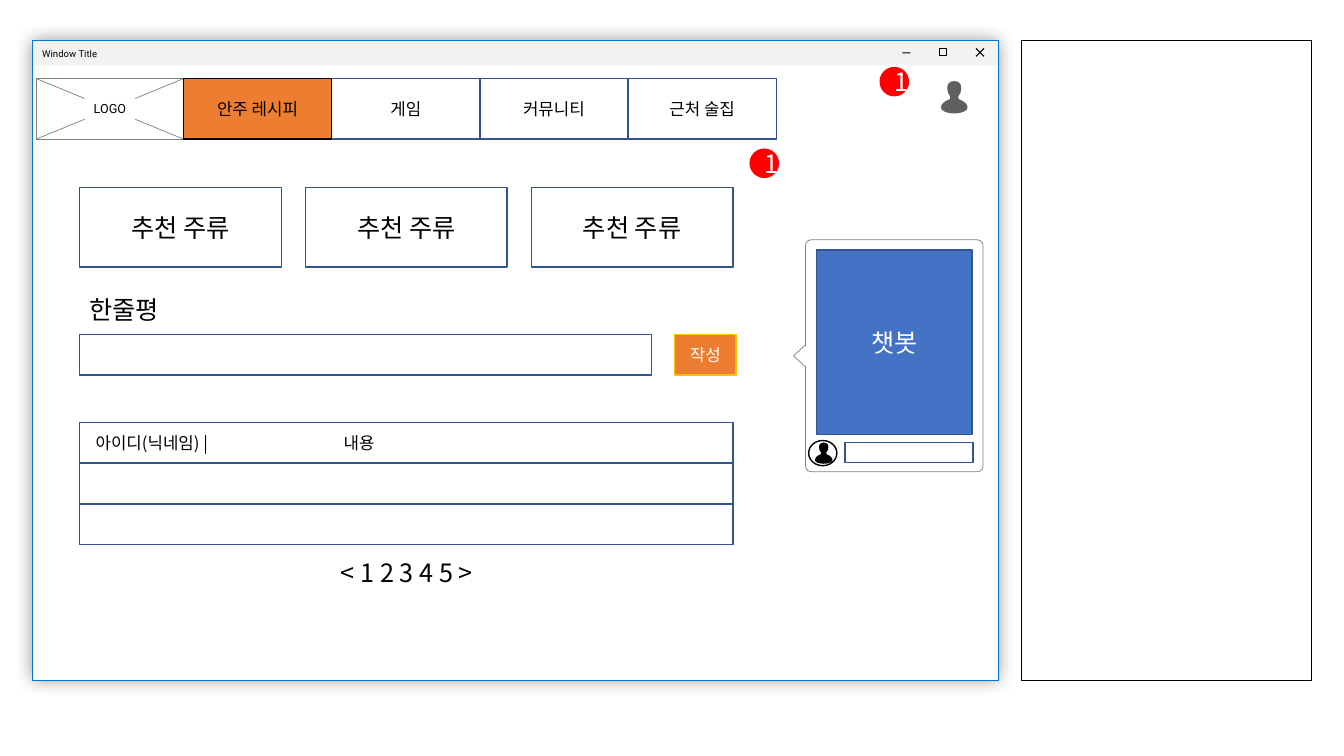
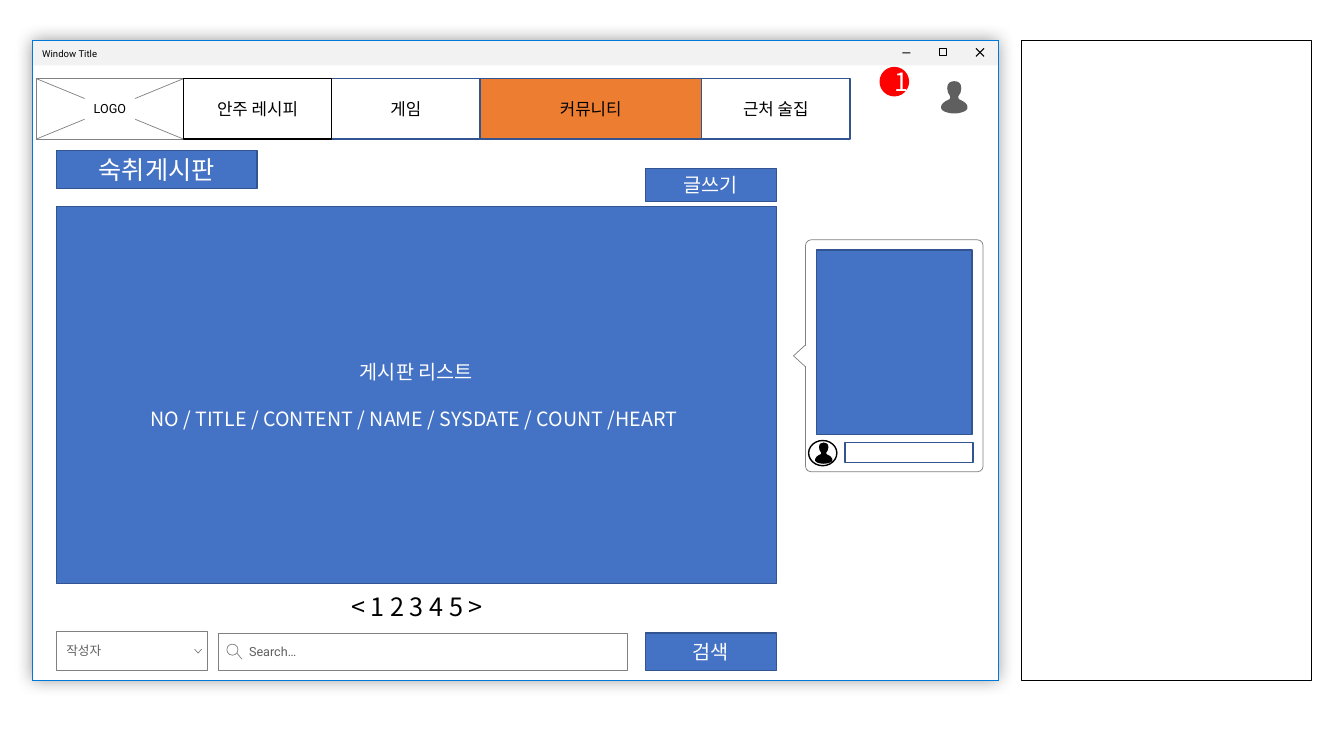
"""Builds two wireframe slides of a drinks web site."""
from itertools import accumulate
from lxml import etree
from pptx import Presentation
from pptx.dml.color import RGBColor
from pptx.enum.shapes import MSO_CONNECTOR, MSO_SHAPE
from pptx.enum.text import MSO_ANCHOR, PP_ALIGN
from pptx.oxml.ns import qn
from pptx.util import Inches, Pt

RECT, ROUND = MSO_SHAPE.RECTANGLE, MSO_SHAPE.ROUNDED_RECTANGLE
OVAL, WEDGE = MSO_SHAPE.OVAL, MSO_SHAPE.ISOSCELES_TRIANGLE
LINE = MSO_CONNECTOR.STRAIGHT
LEFT, MID = PP_ALIGN.LEFT, PP_ALIGN.CENTER
CENTER, TOP = MSO_ANCHOR.MIDDLE, MSO_ANCHOR.TOP

KR, UI = "Noto Sans CJK KR", "Roboto"
WHITE, BLACK, RED = "FFFFFF", "000000", "FF0000"
BLUE, NAVY, ORANGE, GOLD = "4472C4", "325491", "ED7D31", "FFC000"
GREY, DARK, PALE, AZURE = "808080", "5F5F5F", "F2F2F2", "0078D7"

WIN = (0.32, 0.4, 9.58, 6.35)
NOTE = (10.13, 0.4, 2.88, 6.35)
LOGO = (0.36, 0.78, 1.46, 0.6)
TABS = ["안주 레시피", "게임", "커뮤니티", "근처 술집"]
TAB = 1.47
PAGES = "< 1 2 3 4 5 >"
CARDS = ["추천 주류"] * 3
HEADS = ("아이디(닉네임) |", "내용")
BOARD = ["게시판 리스트", "NO / TITLE / CONTENT / NAME / SYSDATE / COUNT /HEART "]
HALF = [
    [(-.04, 0), (-.07, .02), (-.07, .07)],
    [(-.07, .10), (-.06, .13), (-.04, .15)],
    [(-.04, .17)],
    [(-.04, .18), (-.04, .18), (-.05, .18)],
    [(-.10, .20), (-.13, .23), (-.13, .25)],
    [(-.13, .27)],
    [(-.13, .29), (-.08, .32), (0, .32)],
]


def rgb(code):
    """Turns a hex string into a colour."""
    return RGBColor.from_string(code)


def paint(shape, fill, line, width):
    """Sets fill and outline; None means no paint."""
    shape.shadow.inherit = False
    if fill:
        shape.fill.solid()
        shape.fill.fore_color.rgb = rgb(fill)
    else:
        shape.fill.background()
    if line:
        shape.line.color.rgb = rgb(line)
        shape.line.width = Pt(width)
    else:
        shape.line.fill.background()


def write(shape, text, size, color=BLACK, face=KR, align=MID, anchor=CENTER,
          pad=None, wrap=True, gap=0):
    """Fills a shape with one or more paragraphs."""
    frame = shape.text_frame
    frame.word_wrap, frame.vertical_anchor = wrap, anchor
    if pad:
        (frame.margin_left, frame.margin_top, frame.margin_right,
         frame.margin_bottom) = map(Inches, pad)
    frame.text = text
    for para in frame.paragraphs:
        para.alignment = align
        font = para.font
        font.size, font.name, font.color.rgb = Pt(size), face, rgb(color)
        node = para._p.pPr.find(qn("a:defRPr"))
        etree.SubElement(node, qn("a:ea")).set("typeface", KR)
    if gap:
        frame.paragraphs[0].space_after = Pt(gap)


def box(slide, at, fill=WHITE, line=NAVY, width=1, kind=RECT):
    """Adds a painted preset shape."""
    shape = slide.shapes.add_shape(kind, *map(Inches, at))
    paint(shape, fill, line, width)
    return shape


def label(slide, at, text, size):
    """Adds plain text at the left top."""
    shape = slide.shapes.add_textbox(*map(Inches, at))
    write(shape, text, size, align=LEFT, anchor=TOP)
    return shape


def rule(slide, x1, y1, x2, y2, color=GREY, width=0.5):
    """Adds a straight line."""
    line = slide.shapes.add_connector(LINE, *map(Inches, (x1, y1, x2, y2)))
    line.line.color.rgb, line.line.width = rgb(color), Pt(width)
    etree.SubElement(line._element.spPr, qn("a:effectLst"))


def trace(slide, strokes, color=GREY, width=0.5):
    """Draws open strokes as one outline."""
    pen = None
    for stroke in strokes:
        dots = [(Inches(x), Inches(y)) for x, y in stroke]
        if pen:
            pen.move_to(*dots[0])
        else:
            pen = slide.shapes.build_freeform(*dots[0])
        pen.add_line_segments(dots[1:], close=False)
    paint(pen.convert_to_shape(), None, color, width)


def glow(shape):
    """Gives a shape a soft shadow on all sides."""
    spot = shape._element.spPr.find(qn("a:effectLst"))
    shade = etree.SubElement(spot, qn("a:outerShdw"), blurRad=str(Pt(12)))
    tint = etree.SubElement(shade, qn("a:srgbClr"), val=BLACK)
    etree.SubElement(tint, qn("a:alpha"), val="40000")


def person(slide, mid, top, scale, color):
    """Draws a bust of curves, mirrored about its middle."""
    side = [(0, 0)] + [knot for part in HALF for knot in part]
    ring = side + [(-x, y) for x, y in side[-2::-1]]
    dots = [(Inches(mid + x * scale), Inches(top + y * scale)) for x, y in ring]
    pen = slide.shapes.build_freeform(*dots[0])
    pen.add_line_segments(dots[1:])
    bust = pen.convert_to_shape()
    steps = iter(list(bust._element.iter(qn("a:lnTo"))))
    for part in HALF + HALF[::-1]:
        group = [next(steps) for _ in part]
        if len(group) == 3:
            curve = etree.Element(qn("a:cubicBezTo"))
            group[0].addprevious(curve)
            for step in group:
                curve.append(step[0])
                step.getparent().remove(step)
    paint(bust, color, None, 0)


def badge(slide, x, y):
    """Adds a red number mark."""
    write(box(slide, (x, y, 0.28, 0.28), RED, RED, 1, OVAL), "1", 18, WHITE)


def window(slide):
    """Draws the note panel and the window with its bar."""
    x, y, w, h = WIN
    box(slide, NOTE, None, BLACK, 0.75)
    glow(box(slide, WIN, WHITE, AZURE, 0.5))
    write(box(slide, (x, y, w, 0.25), PALE, None), "Window Title", 6.8,
          face=UI, align=LEFT, pad=(0.1, 0.06, 0.1, 0.05))
    box(slide, (8.95, 0.52, 0.08, 0.01), BLACK, None)
    box(slide, (9.315, 0.485, 0.07, 0.07), None, BLACK, 0.75)
    trace(slide, [[(9.68, 0.48), (9.76, 0.56)], [(9.68, 0.56), (9.76, 0.48)]],
          BLACK, 0.75)
    box(slide, WIN, None, AZURE, 0.5)


def chat(slide, text):
    """Draws the chat bubble."""
    bubble = box(slide, (7.99, 2.38, 1.76, 2.3), WHITE, GREY, 0.5, ROUND)
    bubble.adjustments[0] = 0.03
    box(slide, (7.82, 3.47, 0.22, 0.12), WHITE, GREY, 0.5, WEDGE).rotation = 270
    rule(slide, 7.99, 3.43, 7.99, 3.63, WHITE)
    box(slide, (8.38, 4.39, 1.27, 0.2))
    pane = box(slide, (8.1, 2.48, 1.54, 1.83), BLUE)
    if text:
        write(pane, text, 18, WHITE)
    box(slide, (8.02, 4.37, 0.28, 0.25), WHITE, BLACK, 1, OVAL)
    person(slide, 8.17, 4.39, 0.66, BLACK)


def menu(slide, active, widths):
    """Draws the logo box and the tabs, first tab on top."""
    x, y, w, h = LOGO
    box(slide, LOGO, WHITE, GREY, 0.5)
    rule(slide, x, y + h, x + w, y)
    rule(slide, x, y, x + w, y + h)
    write(box(slide, (0.84, 0.96, 0.5, 0.23), WHITE, None), "LOGO", 9,
          face=UI, pad=(0.08, 0.04, 0.08, 0.04), wrap=False)
    lefts = accumulate(widths[:-1], initial=x + w)
    for i, (left, wide, name) in reversed(
            list(enumerate(zip(lefts, widths, TABS)))):
        tab = box(slide, (left, y, wide, h), ORANGE if i == active else WHITE,
                  NAVY if i else BLACK)
        write(tab, name, 12)


def pager(slide, x, y):
    """Adds the page numbers."""
    write(box(slide, (x, y, 4.31, 0.38), WHITE, None), PAGES, 18)


def start(deck, active, widths, text=None):
    """Adds a slide with all shared parts."""
    slide = deck.slides.add_slide(deck.slide_layouts[6])
    window(slide)
    badge(slide, 8.73, 0.67)
    person(slide, 9.465, 0.805, 1, DARK)
    chat(slide, text)
    menu(slide, active, widths)
    return slide


def recipes(deck):
    """Builds the recipe page."""
    slide = start(deck, 0, [TAB] * 4, "챗봇")
    left, row = 0.79, 0.4
    badge(slide, 7.44, 1.48)
    for i, name in enumerate(CARDS):
        write(box(slide, (left + i * 2.24, 1.86, 2, 0.79)), name, 18)
    label(slide, (left, 2.87, 0.96, row), "한줄평", 18)
    box(slide, (left, 3.32, 5.67, row))
    write(box(slide, (6.69, 3.32, 0.61, row), ORANGE, GOLD), "작성", 12, WHITE)
    for i in range(3):
        box(slide, (left, 4.19 + i * 0.405, 6.48, row))
    pager(slide, 1.88, 5.49)
    head = label(slide, (0.85, 4.24, 3.66, 0.3), "\t".join(HEADS), 12)
    props = head.text_frame.paragraphs[0]._p.pPr
    stops = etree.Element(qn("a:tabLst"))
    etree.SubElement(stops, qn("a:tab"), pos=str(Inches(2.46)), algn="l")
    props.insert(0, stops)


def board(deck):
    """Builds the community page."""
    slide = start(deck, 2, [TAB, TAB, 2.2, TAB])
    left, side, wide = 0.56, 6.4, 1.3
    for at, text, size in [
            ((left, 1.49, 1.99, 0.38), "숙취게시판", 18),
            ((left, 2.05, 7.14, 3.74), "\n".join(BOARD), 14),
            ((side, 1.67, wide, 0.33), "글쓰기", 14),
            ((side, 6.28, wide, 0.37), "검색", 14)]:
        write(box(slide, at, BLUE), text, size, WHITE,
              gap=17 if "\n" in text else 0)
    pager(slide, 1.98, 5.83)
    for at, text, pad in [
            ((2.17, 6.28, 4.05, 0.37), "Search…", (0.3, 0.06, 0.1, 0.06)),
            ((left, 6.26, 1.5, 0.39), "작성자", (0.1, 0.06, 0.28, 0.06))]:
        write(box(slide, at, WHITE, GREY, 0.5), text, 9, DARK, UI, LEFT, pad=pad)
    box(slide, (2.25, 6.39, 0.11, 0.11), WHITE, GREY, 0.5, OVAL)
    rule(slide, 2.35, 6.48, 2.4, 6.54)
    trace(slide, [[(1.93, 6.44), (1.965, 6.48), (2, 6.44)]])


def main():
    """Builds and saves the deck."""
    deck = Presentation()
    deck.slide_width, deck.slide_height = Inches(13.33), Inches(7.5)
    recipes(deck)
    board(deck)
    deck.save("out.pptx")


if __name__ == "__main__":
    main()
